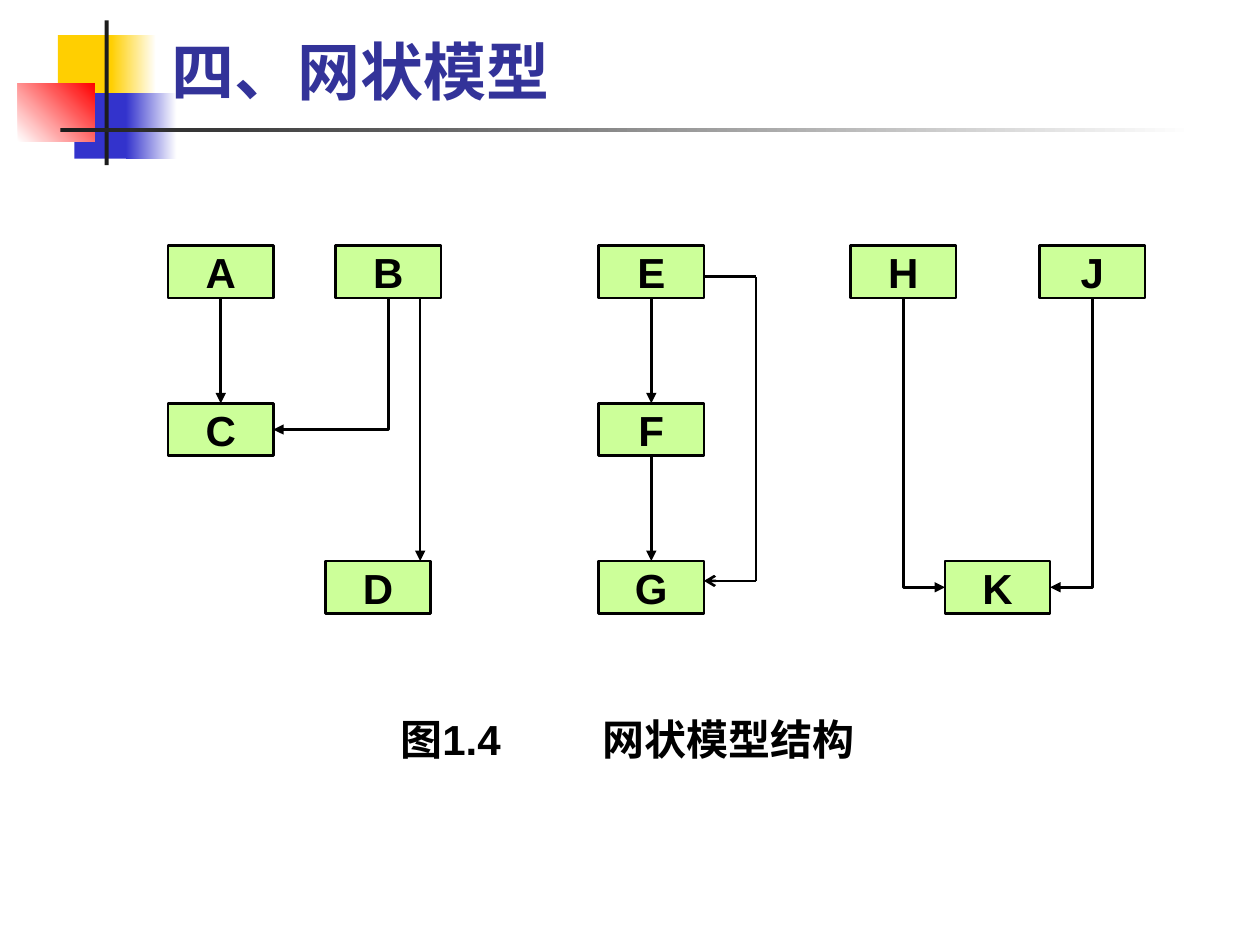
"""Build a slide showing the network data model as linked boxes."""
from itertools import pairwise

from lxml.etree import SubElement
from pptx import Presentation
from pptx.dml.color import RGBColor as RGB
from pptx.enum.shapes import MSO_CONNECTOR as CONN, MSO_SHAPE as SHAPE
from pptx.enum.text import MSO_ANCHOR as ANCHOR, PP_ALIGN as ALIGN
from pptx.oxml.ns import qn
from pptx.util import Cm, Pt

COLORS = {"yellow": "FFCF01", "blue": "3333CC", "red": "FF0000", "white": "FFFFFF",
          "dark": "1C1C1C", "green": "CCFF99", "black": "000000", "title": "333399"}

DECOR = [
    (1.17, 0.71, 1.22, 1.32, ["yellow"], 0),
    (2.24, 0.71, 0.91, 1.32, ["yellow", "white"], 0),
    (1.5, 1.88, 1.17, 1.32, ["blue"], 0),
    (2.54, 1.88, 1.02, 1.32, ["blue", "white"], 0),
    (0.36, 1.68, 1.55, 1.17, ["white", "red"], 45),
    (2.11, 0.41, 0.08, 2.92, ["dark"], 0),
    (1.22, 2.59, 22.86, 0.08, ["dark", "white"], 0),
]

BOX_W, BOX_H = 2.12, 1.06
ROW_TOP, ROW_STEP = 4.95, 3.18
NODES = {"A": (3.39, 0), "B": (6.77, 0), "C": (3.39, 1), "D": (6.56, 2),
         "E": (12.07, 0), "F": (12.07, 1), "G": (12.07, 2),
         "H": (17.15, 0), "J": (20.96, 0), "K": (19.05, 2)}

TOP, LEFT, BOTTOM, RIGHT = range(4)
STRAIGHT_LINKS = [("A", "C"), ("E", "F"), ("F", "G")]
BENT_LINKS = [("B", "C", RIGHT), ("H", "K", LEFT), ("J", "K", RIGHT)]
B_TO_D = [(8.47, 6.01), (8.47, 11.31)]
E_TO_G = [(14.19, 5.58), (15.24, 5.58), (15.24, 11.71), (14.19, 11.71)]

TITLE = "四、网状模型"
CAPTION = "图1.4\t网状模型结构"


def rgb(name):
    return RGB.from_string(COLORS[name])


def add_rect(shapes, left, top, width, height, colors, angle=0):
    sp = shapes.add_shape(SHAPE.RECTANGLE, Cm(left), Cm(top), Cm(width), Cm(height))
    sp.shadow.inherit = False
    sp.line.fill.background()
    if len(colors) == 1:
        sp.fill.solid()
        sp.fill.fore_color.rgb = rgb(colors[0])
    else:
        sp.fill.gradient()
        sp.fill.gradient_angle = angle
        for stop, color in zip(sp.fill.gradient_stops, colors):
            stop.color.rgb = rgb(color)
    return sp


def style_text(p, size, color, font):
    for r in p.runs:
        r.font.size, r.font.bold, r.font.name = Pt(size), True, font
        r.font.color.rgb = rgb(color)


def add_node(shapes, name, left, row):
    sp = add_rect(shapes, left, ROW_TOP + row * ROW_STEP, BOX_W, BOX_H, ["green"])
    sp.line.color.rgb = rgb("black")
    sp.line.width = Pt(1.5)
    tf = sp.text_frame
    tf.word_wrap = False
    tf.vertical_anchor = ANCHOR.MIDDLE
    p = tf.paragraphs[0]
    p.text = name
    p.alignment = ALIGN.CENTER
    style_text(p, 24, "black", "Arial")
    return sp


def add_line(shapes, start=(0, 0), end=(0, 0), kind=CONN.STRAIGHT, head="triangle"):
    c = shapes.add_connector(kind, *(Cm(v) for v in (*start, *end)))
    c.line.color.rgb = rgb("black")
    c.line.width = Pt(1.5)
    if head:
        SubElement(c.line._get_or_add_ln(), qn("a:tailEnd"), type=head)
    SubElement(c._element.spPr, qn("a:effectLst"))
    return c


def link(shapes, source, target, side, kind=CONN.STRAIGHT):
    c = add_line(shapes, kind=kind)
    c.begin_connect(source, BOTTOM)
    c.end_connect(target, side)
    return c


def bend_once(c):
    """Turn an elbow into one corner that runs down first, then sideways."""
    dx, dy = c.end_x - c.begin_x, c.end_y - c.begin_y
    mid_x, mid_y = (c.begin_x + c.end_x) // 2, (c.begin_y + c.end_y) // 2
    c._element.spPr.find(qn("a:prstGeom")).set("prst", "bentConnector2")
    xfrm = c._element.spPr.find(qn("a:xfrm"))
    xfrm.set("flipH", "1" if dx > 0 else "0")
    xfrm.set("rot", "16200000" if dx > 0 else "5400000")
    c.width, c.height = dy, abs(dx)
    c.left, c.top = mid_x - dy // 2, mid_y - abs(dx) // 2


def add_text(shapes, text, left, top, width, height, anchor, size, color, font):
    tb = shapes.add_textbox(Cm(left), Cm(top), Cm(width), Cm(height))
    tf = tb.text_frame
    tf.word_wrap = True
    tf.vertical_anchor = anchor
    p = tf.paragraphs[0]
    p.text = text
    style_text(p, size, color, font)
    return p


def main():
    prs = Presentation()
    prs.slide_width, prs.slide_height = Cm(25.4), Cm(19.05)
    s = prs.slides.add_slide(prs.slide_layouts[6])
    shapes = s.shapes

    for decor in DECOR:
        add_rect(shapes, *decor)
    boxes = {name: add_node(shapes, name, *place) for name, place in NODES.items()}

    for source, target in STRAIGHT_LINKS:
        link(shapes, boxes[source], boxes[target], TOP)
    for source, target, side in BENT_LINKS:
        bend_once(link(shapes, boxes[source], boxes[target], side, CONN.ELBOW))
    add_line(shapes, *B_TO_D)
    for start, end in pairwise(E_TO_G):
        add_line(shapes, start, end, head="arrow" if end == E_TO_G[-1] else None)

    p = add_text(shapes, CAPTION, 7.82, 14.25, 11, 1.27, ANCHOR.TOP, 24, "black", "Arial")
    tabs = SubElement(p._p.get_or_add_pPr(), qn("a:tabLst"))
    SubElement(tabs, qn("a:tab"), pos=str(Cm(4.07)), algn="l")
    add_text(shapes, TITLE, 3.2, 0.58, 21.64, 1.73, ANCHOR.BOTTOM, 36, "title", "Cabin")
    prs.save("out.pptx")


if __name__ == "__main__":
    main()
